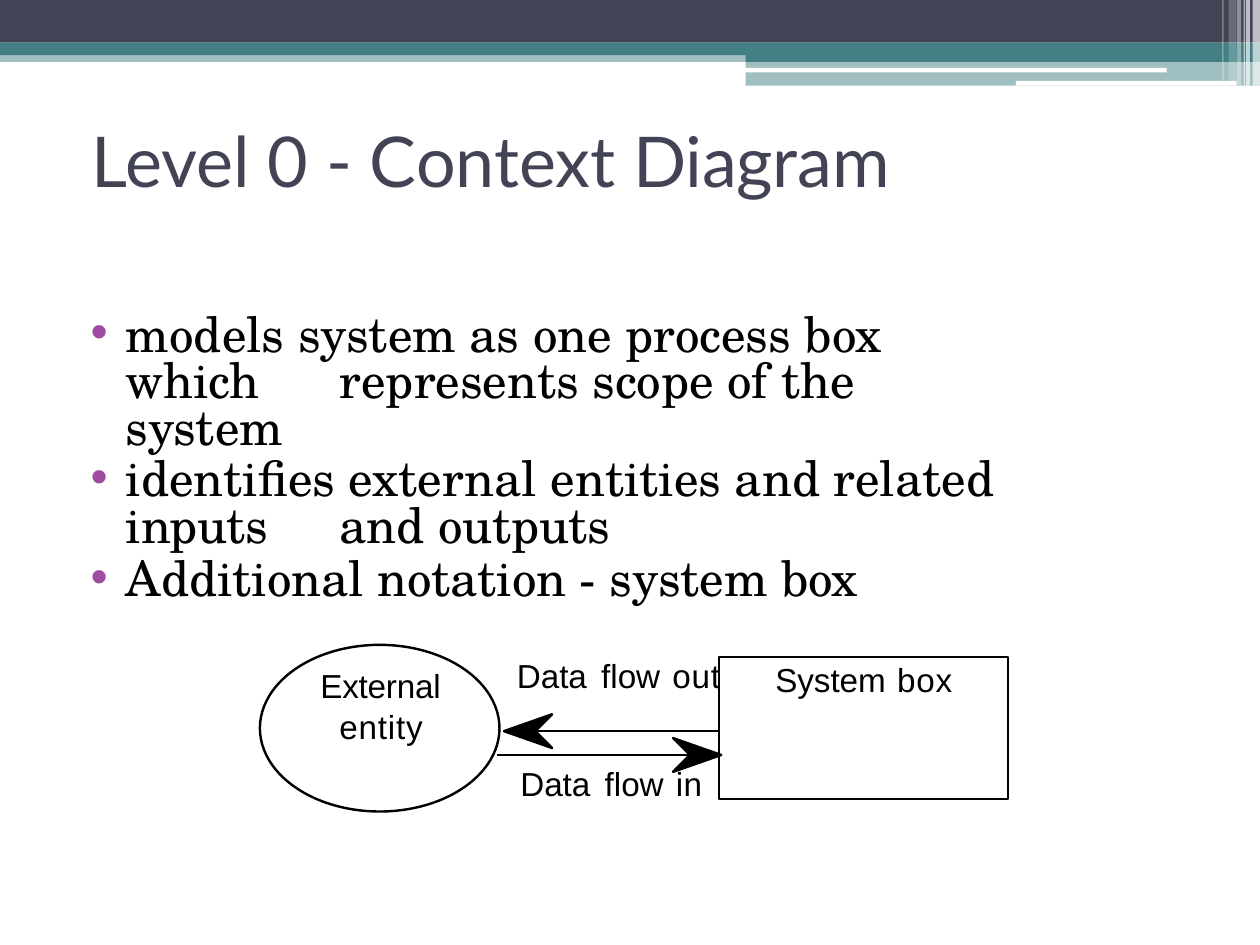
from lxml.etree import SubElement
from pptx import Presentation
from pptx.dml.color import RGBColor
from pptx.enum.shapes import MSO_CONNECTOR, MSO_SHAPE
from pptx.enum.text import MSO_AUTO_SIZE
from pptx.oxml.ns import qn
from pptx.util import Cm, Pt

INK, NAVY, TEAL, WHITE, PURPLE = "000000", "424455", "438085", "FFFFFF", "9F4DA2"
LINE_WIDTH = Pt(1.4)

deck = Presentation()
deck.slide_width, deck.slide_height = Cm(25.4), Cm(19.05)
page = deck.slides.add_slide(deck.slide_layouts[6])


def colour(fill, value, opacity=100):
    fill.solid()
    fill.fore_color.rgb = RGBColor.from_string(value)
    if opacity < 100:
        tint = fill._xPr.find(".//" + qn("a:srgbClr"))
        SubElement(tint, qn("a:alpha"), val=str(opacity * 1000))


def add_text(place, inset, indents, paragraphs, font, size, value):
    """Add a text box; each paragraph is (format values, [(text, tracking)])."""
    box = page.shapes.add_textbox(*map(Cm, place))
    frame = box.text_frame
    settings = {"word_wrap": True, "auto_size": MSO_AUTO_SIZE.SHAPE_TO_FIT_TEXT,
                "margin_left": 0, "margin_right": 0,
                "margin_top": Cm(inset), "margin_bottom": 0}
    for name, setting in settings.items():
        setattr(frame, name, setting)
    for index, (formats, spans) in enumerate(paragraphs):
        para = frame.add_paragraph() if index else frame.paragraphs[0]
        for name, setting in formats.items():
            setattr(para, name, setting)
        properties = para._p.get_or_add_pPr()
        for name, length in zip(("marL", "indent"), indents):
            properties.set(name, str(Cm(length)))
        for text, tracking in spans:
            span = para.add_run()
            span.text = text
            for name, setting in {"name": font, "size": Pt(size)}.items():
                setattr(span.font, name, setting)
            colour(span.font.fill, value)
            span.font._element.set("spc", str(tracking))
    return box


# Header: pale strip, dark band, stepped teal band
bands = [
    (0, 1.11, 15.04, 0.14, TEAL, 50),
    (0, 0, 25.4, 0.86, NAVY, 100),
    (15.03, 1.22, 10.37, 0.51, TEAL, 50),
    # White bars
    (15.02, 1.37, 8.5, 0.09, WHITE, 100),
    (20.48, 1.63, 4.45, 0.1, WHITE, 100),
    # Translucent stripes at the right edge
    (25.12, 0, 0.08, 1.73, WHITE, 65),
    (25.25, 0, 0.15, 1.73, WHITE, 65),
    (25.07, 0, 0.03, 1.73, WHITE, 60),
    (24.94, 0, 0.08, 1.73, WHITE, 40),
    (24.77, 0, 0.16, 1.63, WHITE, 20),
    (24.64, 0, 0.03, 1.63, WHITE, 30),
]
for index, (*place, value, opacity) in enumerate(bands):
    if index == 2:
        outline = page.shapes.build_freeform(Cm(0), Cm(0.86))
        corners = [(25.4, 0.86), (25.4, 1.25), (15.03, 1.25), (15.03, 1.11), (0, 1.11)]
        outline.add_line_segments([(Cm(x), Cm(y)) for x, y in corners])
        step = outline.convert_to_shape()
        step.shadow.inherit = False
        colour(step.fill, TEAL)
        step.line.fill.background()
    band = page.shapes.add_shape(MSO_SHAPE.RECTANGLE, *map(Cm, place))
    band.shadow.inherit = False
    colour(band.fill, value, opacity)
    band.line.fill.background()

# Title
add_text((1.42, 2.34, 17.22, 3.15), 0.03, (0.43, 0),
         [({}, [("Level 0 - Context ", 0), ("Diagram", -10)])], "Lato", 40, NAVY)

# Bullet list
bullets = [
    ({"line_spacing": 0.79},
     [("models system as one process box ", 0), ("which \t", -10),
      ("represents scope of the ", 0), ("system", -10)]),
    ({"line_spacing": Pt(27), "space_before": Pt(2.7)},
     [("identifies external entities and related ", 0), ("inputs \t", -10),
      ("and ", 0), ("outputs", -10)]),
    ({"line_spacing": Pt(30.1)},
     [("Additional notation - system ", 0), ("box", -20)]),
]
body = add_text((1.8, 6.07, 20.29, 5.26), 0.28, (0.74, -0.71), bullets,
                "TeX Gyre Schola", 28, INK)
for para in body.text_frame.paragraphs:
    properties = para._p.get_or_add_pPr()
    properties.set("marR", str(Cm(1.8)))
    bullet_colour = SubElement(properties, qn("a:buClr"))
    SubElement(bullet_colour, qn("a:srgbClr"), val=PURPLE)
    SubElement(properties, qn("a:buFont"), typeface="Arial")
    SubElement(properties, qn("a:buChar"), char="•")
    stops = SubElement(properties, qn("a:tabLst"))
    for position in (0.74, 5.05):
        SubElement(stops, qn("a:tab"), pos=str(Cm(position)), algn="l")

# System box and external entity
for kind, place in [(MSO_SHAPE.RECTANGLE, (14.5, 13.25, 5.82, 2.86)),
                    (MSO_SHAPE.OVAL, (5.24, 13, 4.83, 3.36))]:
    node = page.shapes.add_shape(kind, *map(Cm, place))
    node.shadow.inherit = False
    node.fill.background()
    colour(node.line.fill, INK)
    node.line.width = LINE_WIDTH

# Data flows: line start, tip, height and direction of each arrow
for start, tip, y, direction in [(14.5, 10.16, 14.74, -1), (10.01, 14.54, 15.22, 1)]:
    flow = page.shapes.add_connector(MSO_CONNECTOR.STRAIGHT,
                                     Cm(start), Cm(y), Cm(tip - 0.04 * direction), Cm(y))
    SubElement(flow._element.spPr, qn("a:effectLst"))
    barb, notch = tip - 0.97 * direction, tip - 0.63 * direction
    outline = page.shapes.build_freeform(Cm(tip), Cm(y))
    outline.add_line_segments([(Cm(barb), Cm(y - 0.34)), (Cm(notch), Cm(y)),
                               (Cm(barb), Cm(y + 0.34))])
    head = outline.convert_to_shape()
    head.shadow.inherit = False
    colour(head.fill, INK)
    for part in (flow, head):
        colour(part.line.fill, INK)
        part.line.width = LINE_WIDTH

# Diagram labels; the spaces between words are widened by tracking
data_flow = [("Data", 0), (" ", 290), ("flow", 0), (" ", 170)]
labels = [
    ((15.6, 13.25, 3.73, 0.89), 0.05, (0.03, 0), {},
     [("System", 0), (" ", 110), ("box", 50)]),
    ((6.43, 13.36, 2.67, 1.7), 0.02, (0.41, -0.38), {"line_spacing": 1.03},
     [("External ", -10), ("entity", 50)]),
    ((10.39, 13.16, 4.24, 0.89), 0.05, (0.03, 0), {}, data_flow + [("out", 50)]),
    ((10.46, 15.34, 3.81, 0.89), 0.05, (0.03, 0), {}, data_flow + [("in", 30)]),
]
for place, inset, indents, formats, spans in labels:
    add_text(place, inset, indents, [(formats, spans)], "Arial", 19, INK)

deck.save("out.pptx")
